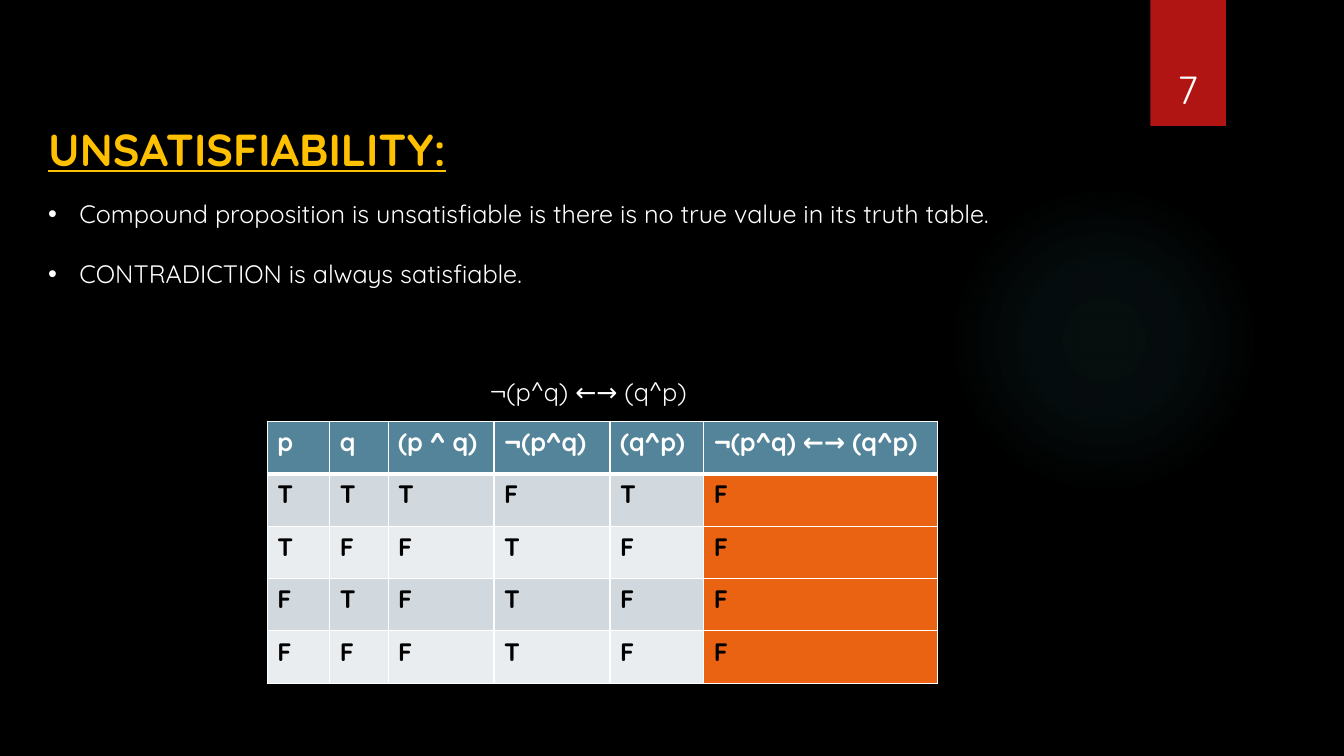
from lxml.etree import SubElement
from pptx import Presentation
from pptx.dml.color import RGBColor
from pptx.enum.shapes import MSO_SHAPE
from pptx.enum.text import MSO_ANCHOR, PP_ALIGN
from pptx.oxml import parse_xml
from pptx.oxml.ns import nsdecls, qn
from pptx.util import Inches, Pt

WHITE = "FFFFFF"
FORMULA = "¬(p^q) ←→ (q^p)"


def paint(target, color):
    """Give a fill or a font a solid colour."""
    if hasattr(target, "solid"):
        target.solid()
        target = target.fore_color
    else:
        target = target.color
    target.rgb = RGBColor.from_string(color)


def write(frame, lines, size=18, color=WHITE, bold=False):
    """Put one paragraph per line into a text frame."""
    frame.word_wrap = True
    frame.text = "\n".join(lines)
    for para in frame.paragraphs:
        for run in para.runs:
            run.font.name = "Quicksand"
            run.font.size = Pt(size)
            run.font.bold = bold
            paint(run.font, color)


prs = Presentation()
prs.slide_width, prs.slide_height = Inches(13.33), Inches(7.5)
slide = prs.slides.add_slide(prs.slide_layouts[6])
paint(slide.background.fill, "000000")
shapes = slide.shapes

# Faint glow at the right
glow = shapes.add_shape(MSO_SHAPE.OVAL, Inches(9.41), Inches(1.83), Inches(3.08), Inches(3.08))
glow.shadow.inherit = False
glow.line.fill.background()
stops = "".join(
    f'<a:gs pos="{pos * 1000}"><a:srgbClr val="50B9C1"><a:alpha val="{alpha * 1000}"/></a:srgbClr></a:gs>'
    for pos, alpha in [(0, 7), (36, 6), (69, 0)])
grad = parse_xml(
    f'<a:gradFill {nsdecls("a")}><a:gsLst>{stops}</a:gsLst><a:path path="circle">'
    '<a:fillToRect l="50000" t="50000" r="50000" b="50000"/></a:path></a:gradFill>')
glow._element.spPr.find(qn("a:prstGeom")).addnext(grad)

# Red page tab with a soft shadow
tab = shapes.add_shape(MSO_SHAPE.RECTANGLE, Inches(11.41), 0, Inches(0.75), Inches(1.25))
tab.shadow.inherit = False
tab.line.fill.background()
paint(tab.fill, "B01513")
shade = SubElement(tab._element.spPr.find(qn("a:effectLst")), qn("a:outerShdw"),
                   blurRad=str(Pt(3)), dist=str(Pt(2)), dir="5400000")
black = SubElement(shade, qn("a:srgbClr"), val="000000")
SubElement(black, qn("a:alpha"), val="45000")

title = shapes.add_textbox(Inches(0.38), Inches(1.16), Inches(4.38), Inches(0.63))
write(title.text_frame, ["UNSATISFIABILITY:"], 32, "FFC000", True)
title.text_frame.paragraphs[0].runs[0].font.underline = True

notes = shapes.add_textbox(Inches(0.38), Inches(1.92), Inches(10.02), Inches(1.31))
write(notes.text_frame, [
    "Compound proposition is unsatisfiable is there is no true value in its truth table.",
    "CONTRADICTION is always satisfiable."])
for para in notes.text_frame.paragraphs:
    props = para._p.get_or_add_pPr()
    props.set("marL", str(Inches(0.31)))
    props.set("indent", str(-Inches(0.31)))
    SubElement(props, qn("a:buFont"), typeface="Arial")
    SubElement(props, qn("a:buChar"), char="•")
notes.text_frame.paragraphs[1].space_before = Pt(21)

number = shapes.add_textbox(Inches(11.32), Inches(0.32), Inches(0.92), Inches(0.84))
write(number.text_frame, ["7"], 28)
number.text_frame.vertical_anchor = MSO_ANCHOR.BOTTOM
number.text_frame.paragraphs[0].alignment = PP_ALIGN.CENTER

# Truth table
rows = [["p", "q", "(p ^ q)", "¬(p^q)", "(q^p)", FORMULA],
        *(list(row) for row in ["TTTFTF", "TFFTFF", "FTFTFF", "FFFTFF"])]
widths = [0.62, 0.58, 1.05, 1.15, 0.93, 2.32]
table = shapes.add_table(len(rows), len(widths), Inches(2.65), Inches(4.18),
                         Inches(6.65), Inches(2.6)).table
table.first_row = table.horz_banding = False
for col, width in zip(table.columns, widths):
    col.width = Inches(width)
for r, row in enumerate(rows):
    table.rows[r].height = Inches(0.52)
    for c, value in enumerate(row):
        cell = table.cell(r, c)
        write(cell.text_frame, [value], 18, "000000" if r else WHITE, True)
        props = cell._tc.get_or_add_tcPr()
        for side in "LRTB":
            thick = (r, side) in [(0, "B"), (1, "T")]
            line = SubElement(props, qn(f"a:ln{side}"), w=str(Pt(3 if thick else 1)))
            SubElement(SubElement(line, qn("a:solidFill")), qn("a:srgbClr"), val=WHITE)
        if r == 0:
            color = "54849A"
        elif c == len(widths) - 1:
            color = "EA6312"
        else:
            color = "D1D9DE" if r % 2 else "E9EDEF"
        paint(cell.fill, color)

label = shapes.add_textbox(Inches(4.76), Inches(3.68), Inches(3.67), Inches(0.4))
write(label.text_frame, [FORMULA])

prs.save("out.pptx")
